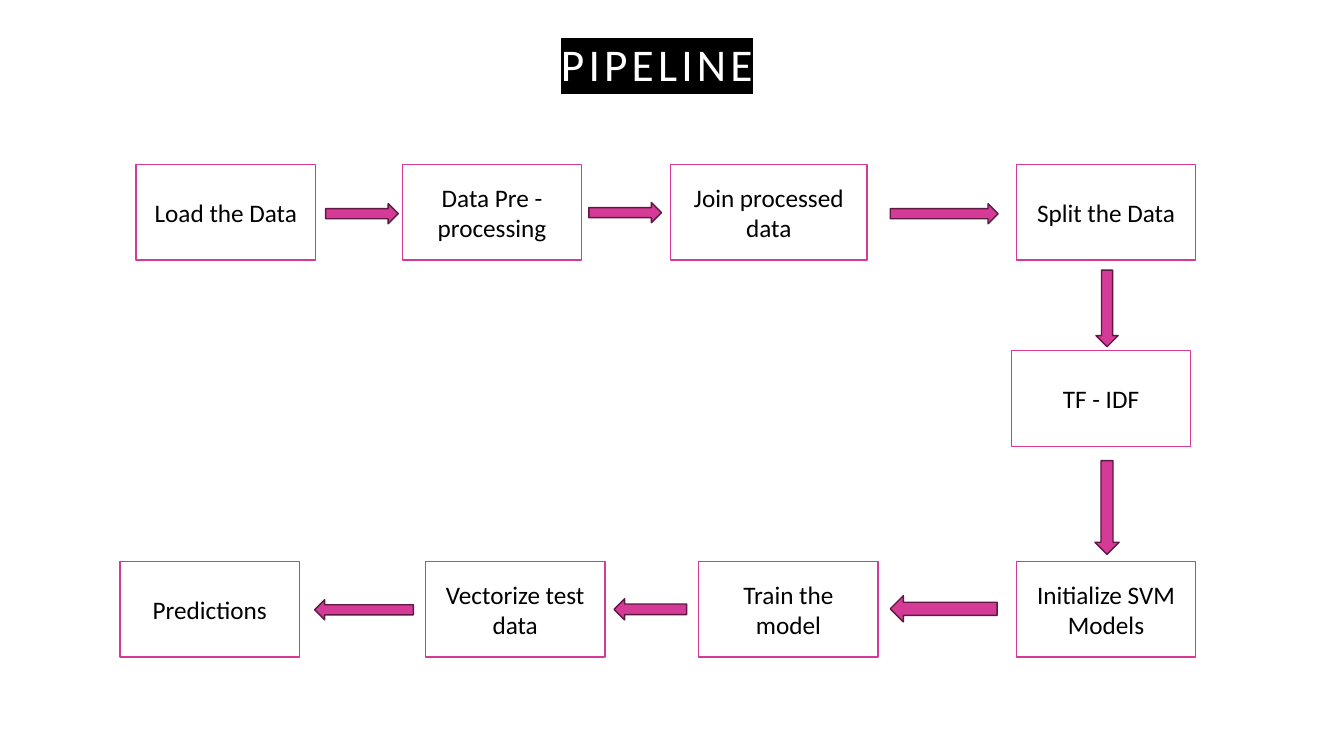
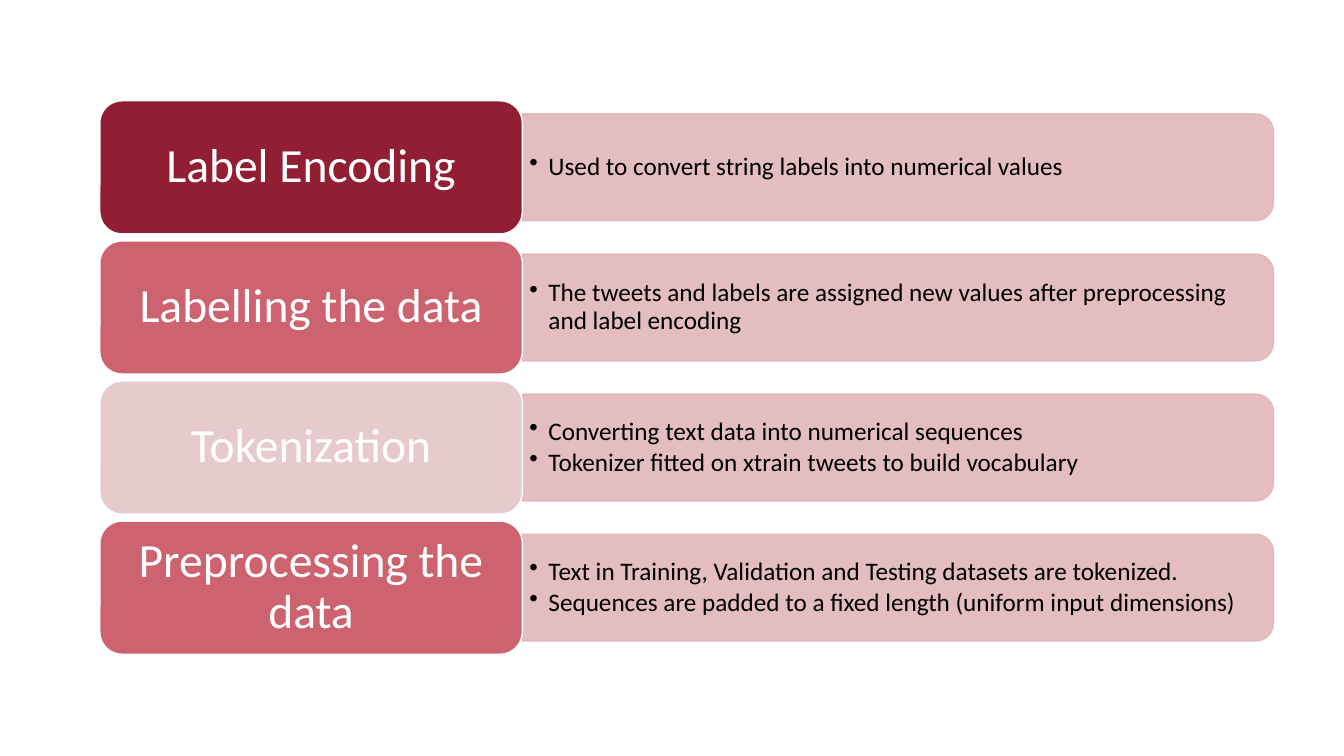
import pptx
import pptx.dml.color
import pptx.enum.shapes
import pptx.enum.text
import pptx.oxml.ns
import pptx.util
from lxml import etree

Inches = pptx.util.Inches
Pt = pptx.util.Pt
SHAPES = pptx.enum.shapes.MSO_SHAPE
ALIGN = pptx.enum.text.PP_ALIGN
ANCHOR = pptx.enum.text.MSO_ANCHOR
qn = pptx.oxml.ns.qn

PINK, PLUM = "D53A97", "5D1942"
WHITE, BLACK = "FFFFFF", "000000"
CRIMSON, ROSE, BLUSH, PANEL = "911E32", "CE6370", "E7CACC", "E1B6B9"


def rgb(value):
    return pptx.dml.color.RGBColor.from_string(value)


def set_opacity(fill_parent, percent):
    """Give the solid fill found under an XML element an opacity."""
    color = fill_parent.find(qn("a:solidFill"))[0]
    etree.SubElement(color, qn("a:alpha")).set("val", str(percent * 1000))


def write(frame, text, size=18, color=BLACK, align=ALIGN.CENTER, anchor=ANCHOR.MIDDLE,
          line_spacing=None, space_after=None, margins=None, bullet=None,
          tracking=None, highlight=None):
    """Fill a text frame, one paragraph per line; margins are (sides, ends) in inches."""
    frame.word_wrap = True
    frame.auto_size = pptx.enum.text.MSO_AUTO_SIZE.NONE
    frame.vertical_anchor = anchor
    if margins:
        frame.margin_left = frame.margin_right = Inches(margins[0])
        frame.margin_top = frame.margin_bottom = Inches(margins[1])
    frame.text = text
    for paragraph in frame.paragraphs:
        paragraph.alignment = align
        if line_spacing:
            paragraph.line_spacing = line_spacing
        if space_after:
            paragraph.space_after = Pt(space_after)
        if bullet:
            properties = paragraph._p.get_or_add_pPr()
            properties.set("marL", str(Inches(0.19)))
            properties.set("indent", str(Inches(-0.19)))
            etree.SubElement(properties, qn("a:buChar")).set("char", bullet)
        for run in paragraph.runs:
            run.font.name = "Calibri"
            run.font.size = Pt(size)
            run.font.color.rgb = rgb(color)
            properties = run._r.get_or_add_rPr()
            if tracking:
                properties.set("spc", str(tracking * 100))
            if highlight:
                marker = etree.Element(qn("a:highlight"))
                etree.SubElement(marker, qn("a:srgbClr")).set("val", highlight)
                properties.find(qn("a:solidFill")).addnext(marker)


class Deck:
    def __init__(self):
        self.presentation = pptx.Presentation()
        self.presentation.slide_width = Inches(13.33)
        self.presentation.slide_height = Inches(7.5)
        self.slide = None

    def add_slide(self, title=None):
        layout = "Title Only" if title else "Blank"
        layouts = self.presentation.slide_layouts
        self.slide = self.presentation.slides.add_slide(layouts.get_by_name(layout))
        if title:
            heading = self.slide.shapes.title
            heading.left, heading.top = Inches(0.71), Inches(0.38)
            heading.width, heading.height = Inches(11.61), Inches(0.57)
            write(heading.text_frame, title, size=32.4, color=WHITE, anchor=ANCHOR.BOTTOM,
                  line_spacing=1.2, tracking=3, highlight=BLACK)

    def shape(self, preset, left, top, width, height, fill, line):
        shape = self.slide.shapes.add_shape(
            preset, Inches(left), Inches(top), Inches(width), Inches(height))
        shape.shadow.inherit = False
        shape.fill.solid()
        shape.fill.fore_color.rgb = rgb(fill)
        shape.line.color.rgb = rgb(line)
        shape.line.width = Pt(1)
        return shape

    def step(self, text, left, top, width=1.78):
        box = self.shape(SHAPES.RECTANGLE, left, top, width, 0.95, WHITE, PINK)
        write(box.text_frame, text)

    def arrow(self, preset, left, top, width, height):
        self.shape(preset, left, top, width, height, PINK, PLUM)

    def panel(self, text, left, middle, width, height):
        """Draw a bulleted panel whose right-hand corners are rounded."""
        center = left + width / 2
        panel = self.shape(SHAPES.ROUND_2_SAME_RECTANGLE, center - height / 2,
                           middle - width / 2, height, width, PANEL, PANEL)
        panel.rotation = 90
        properties = panel._element.spPr
        set_opacity(properties, 90)
        set_opacity(properties.find(qn("a:ln")), 90)
        details = self.slide.shapes.add_textbox(
            Inches(left), Inches(middle - 0.48), Inches(width - 0.05), Inches(0.96))
        write(details.text_frame, text, align=ALIGN.LEFT, margins=(0.07, 0.04),
              line_spacing=0.9, space_after=2.7, bullet="•")

    def label(self, text, left, top, width, height, fill):
        label = self.shape(SHAPES.ROUNDED_RECTANGLE, left, top, width, height, fill, WHITE)
        write(label.text_frame, text, size=34, color=WHITE, margins=(0.14, 0.07),
              line_spacing=0.9)


def build_pipeline(deck):
    deck.add_slide("PIPELINE")
    upper, middle, lower = 1.63, 3.48, 5.57
    for step in (
        ("Load the Data", 1.35, upper),
        ("Data Pre - processing", 3.99, upper),
        ("Join processed data", 6.65, upper, 1.95),
        ("Split the Data", 10.08, upper),
        ("TF - IDF", 10.03, middle),
        ("Initialize SVM Models", 10.08, lower),
        ("Train the model", 6.93, lower),
        ("Vectorize test data", 4.22, lower),
        ("Predictions", 1.19, lower),
    ):
        deck.step(*step)
    for arrow in (
        (SHAPES.RIGHT_ARROW, 3.23, 2.02, 0.72, 0.2),
        (SHAPES.RIGHT_ARROW, 5.84, 2.01, 0.72, 0.2),
        (SHAPES.RIGHT_ARROW, 8.83, 2.02, 1.07, 0.2),
        (SHAPES.DOWN_ARROW, 10.87, 2.68, 0.22, 0.76),
        (SHAPES.DOWN_ARROW, 10.86, 4.57, 0.24, 0.93),
        (SHAPES.LEFT_ARROW, 8.83, 5.91, 1.06, 0.26),
        (SHAPES.LEFT_ARROW, 6.09, 5.94, 0.72, 0.21),
        (SHAPES.LEFT_ARROW, 3.12, 5.95, 0.98, 0.2),
    ):
        deck.arrow(*arrow)


def build_preparation(deck):
    deck.add_slide()
    stages = (
        ("Label Encoding", CRIMSON, "Used to convert string labels into numerical values"),
        ("Labelling the data", ROSE,
         "The tweets and labels are assigned new values after preprocessing and label encoding"),
        ("Tokenization", BLUSH,
         "Converting text data into numerical sequences\n"
         "Tokenizer fitted on xtrain tweets to build vocabulary"),
        ("Preprocessing the data", ROSE,
         "Text in Training, Validation and Testing datasets are tokenized.\n"
         "Sequences are padded to a fixed length (uniform input dimensions)"),
    )
    left, width, height, pitch = 0.99, 4.19, 1.32, 1.39
    for row, (name, fill, details) in enumerate(stages):
        top = 1 + row * pitch
        deck.panel(details, left + width, top + height / 2, 7.45, 1.06)
        deck.label(name, left, top, width, height, fill)


def main():
    deck = Deck()
    build_pipeline(deck)
    build_preparation(deck)
    deck.presentation.save("out.pptx")


if __name__ == "__main__":
    main()
